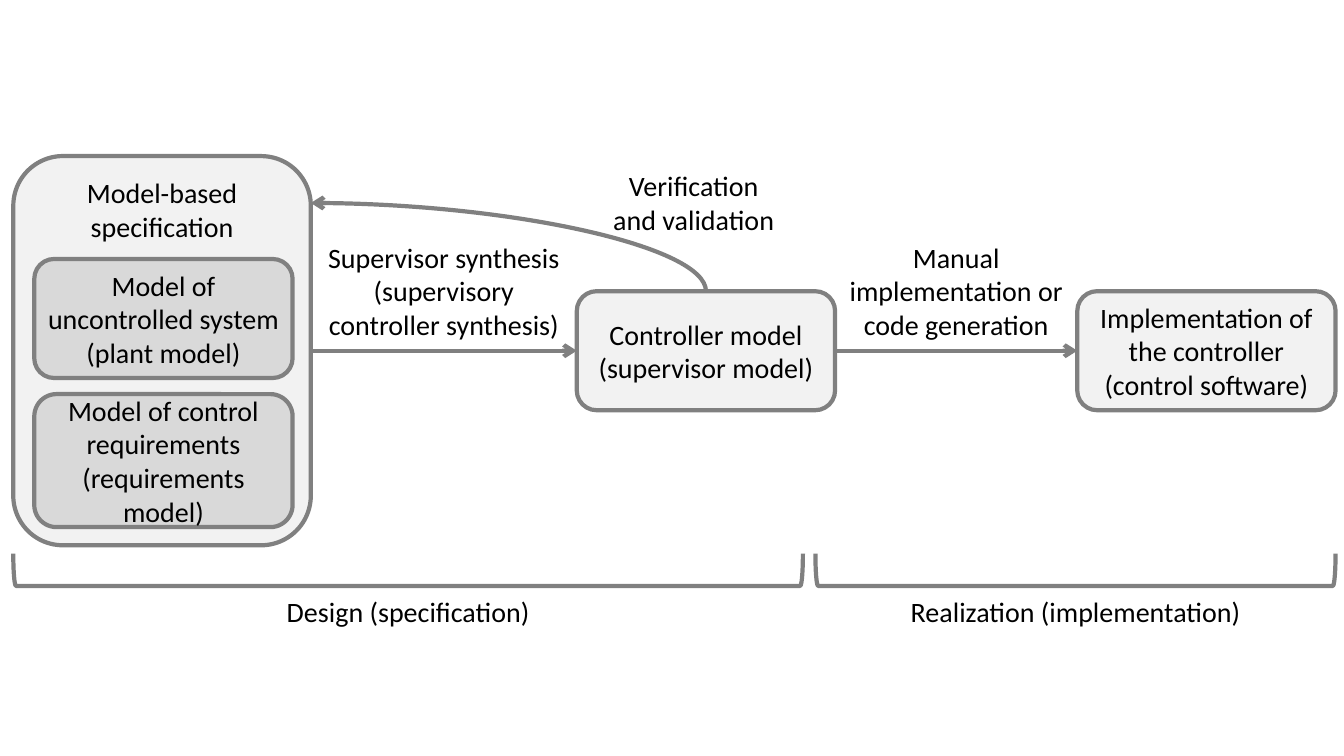
from lxml.etree import SubElement
from pptx import Presentation
from pptx.dml.color import RGBColor
from pptx.enum.shapes import MSO_CONNECTOR, MSO_SHAPE
from pptx.enum.text import MSO_ANCHOR, PP_ALIGN
from pptx.oxml.ns import qn
from pptx.util import Pt

color = RGBColor.from_string
GRAY, PALE, MID = "808080", "F2F2F2", "D9D9D9"


def write(frame, text):
    """Fill a text frame with centred black text, one paragraph a line."""
    frame.text = text
    for para in frame.paragraphs:
        para.alignment = PP_ALIGN.CENTER
        for run in para.runs:
            run.font.size = Pt(20)
            run.font.name = "Calibri"
            run.font.color.rgb = color("000000")


def join(kind, *ends):
    """Add a gray arrow from the first point to the second."""
    arrow = slide.shapes.add_connector(kind, *map(Pt, ends))
    arrow.line.width = Pt(3)
    arrow.line.color.rgb = color(GRAY)
    props = arrow._element.spPr
    SubElement(props.find(qn("a:ln")), qn("a:tailEnd"), type="arrow")
    SubElement(props, qn("a:effectLst"))
    return props


deck = Presentation()
deck.slide_width, deck.slide_height = Pt(960), Pt(540)
slide = deck.slides.add_slide(deck.slide_layouts[6])

# Boxes, with the specification and its two models grouped
left, wide = 9.5, 184.5
spec_end, ctrl, impl = 222, 412, 769.5
ctrl_end, right = ctrl + wide, impl + wide
top, tall = 208, 85
axis = top + tall / 2
boxes = [
    (impl, top, wide, tall, PALE, MSO_ANCHOR.MIDDLE, False,
     "Implementation of the controller (control software)"),
    (ctrl, top, wide, tall, PALE, MSO_ANCHOR.MIDDLE, False,
     "Controller model (supervisor model)"),
    (left, 111.5, spec_end - left, 278, PALE, MSO_ANCHOR.TOP, True,
     "Model-based specification"),
    (24.5, 185, wide, tall, MID, MSO_ANCHOR.MIDDLE, True,
     "Model of uncontrolled system (plant model)"),
    (24.5, 281.5, wide, 95, MID, MSO_ANCHOR.MIDDLE, True,
     "Model of control requirements (requirements model)"),
]
group = None
for x, y, w, h, fill, anchor, inside, text in boxes:
    if inside and group is None:
        group = slide.shapes.add_group_shape()
    home = group.shapes if inside else slide.shapes
    box = home.add_shape(MSO_SHAPE.ROUNDED_RECTANGLE, Pt(x), Pt(y), Pt(w), Pt(h))
    box.shadow.inherit = False
    box.fill.solid()
    box.fill.fore_color.rgb = color(fill)
    box.line.color.rgb = color(GRAY)
    box.line.width = Pt(3)
    frame = box.text_frame
    frame.word_wrap = True
    frame.vertical_anchor = anchor
    frame.margin_left = frame.margin_right = 0
    write(frame, text)

# Straight arrows between the stages
for start, end in ((spec_end, ctrl), (ctrl_end, impl)):
    join(MSO_CONNECTOR.STRAIGHT, start, axis, end, axis)

# Brackets lie on their side, so width and height swap about the centre
split, depth = 582.5, 23
for start, end in ((left, 573.5), (split, right)):
    span = end - start
    mid_x, mid_y = (start + end) / 2, 407
    brace = slide.shapes.add_shape(
        MSO_SHAPE.LEFT_BRACKET, Pt(mid_x - depth / 2), Pt(mid_y - span / 2),
        Pt(depth), Pt(span))
    brace.rotation = 270
    brace.shadow.inherit = False
    brace.fill.background()
    brace.line.color.rgb = color(GRAY)
    brace.line.width = Pt(3)

labels = [
    (spec_end, 168, ctrl - spec_end, 80, True,
     "Supervisor synthesis\n(supervisory\ncontroller synthesis)"),
    (ctrl_end, 168, impl - ctrl_end, 80, True,
     "Manual implementation or code generation"),
    (left, 421, 564, 32, True, "Design (specification)"),
    (split, 421, right - split, 32, True, "Realization (implementation)"),
    (430, 117, 131, 56, False, "Verification\nand validation"),
]
for x, y, w, h, wrap, text in labels:
    label = slide.shapes.add_textbox(Pt(x), Pt(y), Pt(w), Pt(h))
    label.text_frame.word_wrap = wrap
    write(label.text_frame, text)

# Curved feedback arrow: a quarter arc turned about its centre
from_x, back_y = ctrl + wide / 2, 145
mid_x, mid_y = (from_x + spec_end) / 2, (top + back_y) / 2
half_w, half_h = (top - back_y) / 2, (from_x - spec_end) / 2
props = join(MSO_CONNECTOR.CURVE, mid_x - half_w, mid_y + half_h,
             mid_x + half_w, mid_y - half_h)
props.find(qn("a:xfrm")).set("rot", str(270 * 60000))
props.find(qn("a:prstGeom")).set("prst", "curvedConnector2")

deck.save("out.pptx")
